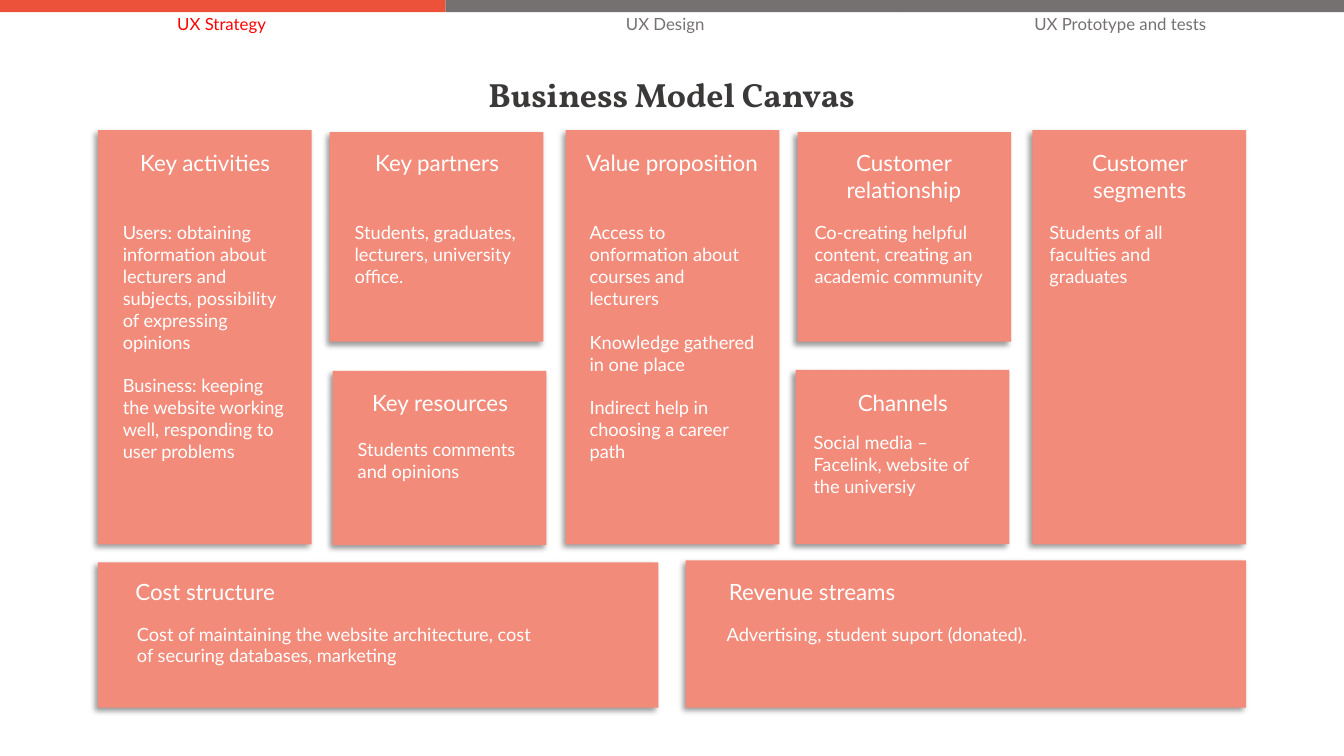
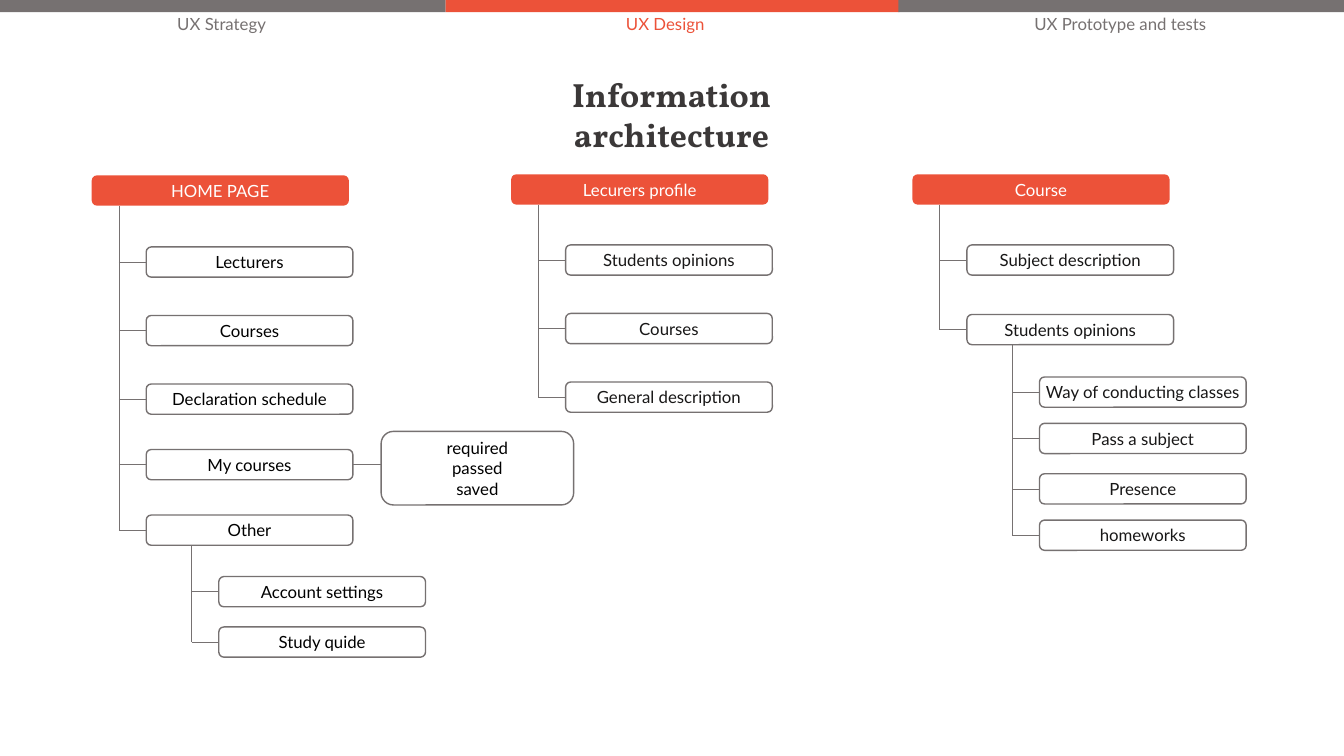
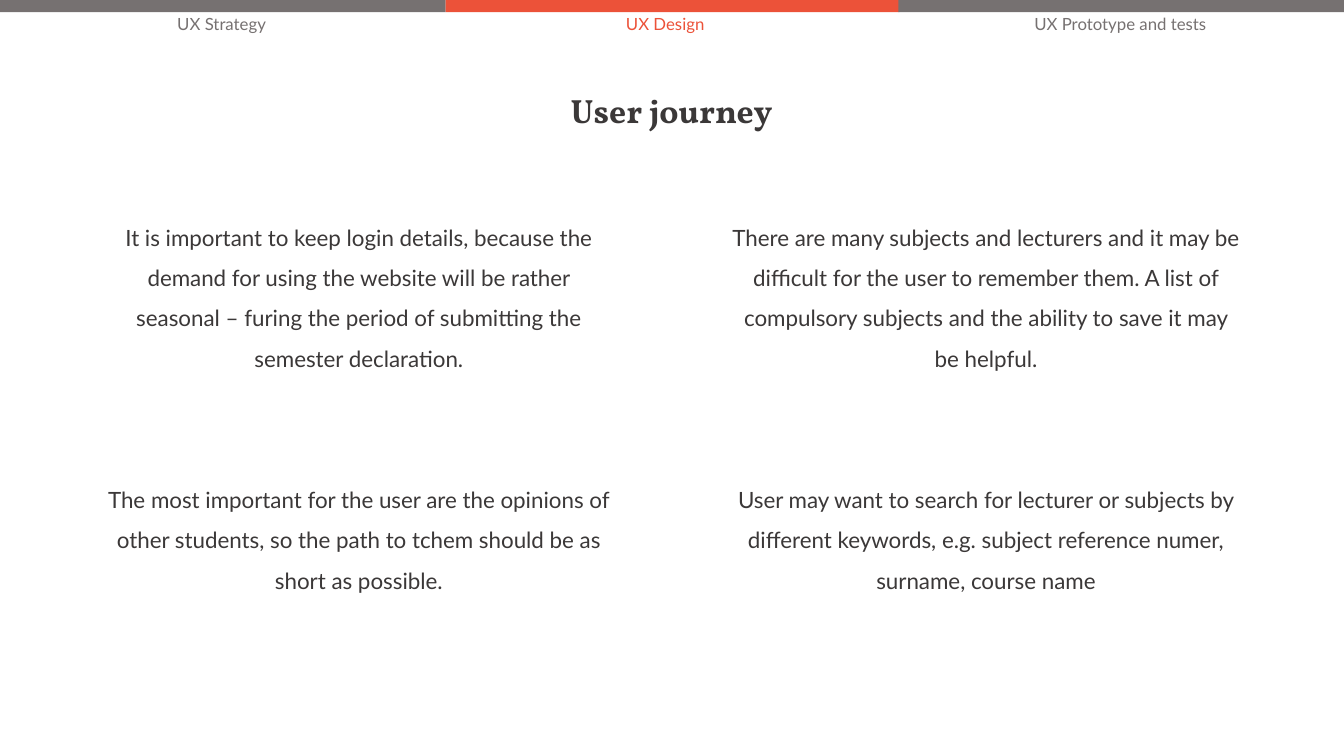
"""Build three UX project slides: a business canvas, a site map and user notes."""
from lxml.etree import SubElement
from pptx import Presentation
from pptx.dml.color import RGBColor
from pptx.enum.shapes import MSO_CONNECTOR, MSO_SHAPE
from pptx.enum.text import MSO_ANCHOR, PP_ALIGN
from pptx.oxml.ns import qn
from pptx.util import Emu, Pt

SCALE = 9144
PAGE_WIDTH, PAGE_HEIGHT = 1333, 750
COLOURS = {
    "accent": "EC5239",
    "grey": "767171",
    "red": "FF0000",
    "card": "F28B7A",
    "title": "3B3838",
    "black": "000000",
    "ink": "181717",
    "white": "FFFFFF",
}
BODY_FONT, TITLE_FONT = "Lato", "Vollkorn"
STAGES = [
    ("UX Strategy", 0, 442, 166, 110),
    ("UX Design", 442, 450, 611, 98),
    ("UX Prototype and tests", 891, 442, 1016, 192),
]
ROOT_WIDTH, NODE_WIDTH, NODE_HEIGHT = 255, 205, 30
ROOT_INDENT, CHILD_INDENT, TWIG = 27, 45, 27
HEADING_WIDTH = 183

CARDS = [
    ((97, 129, 212, 411), "Key activities", 15, (15, 215, 183), [
        "Users: obtaining information about lecturers and subjects, possibility of expressing opinions",
        "Business: keeping the website working well, responding to user problems"]),
    ((561, 129, 212, 411), "Value proposition", 14, (14, 215, 183), [
        "Access to onformation about courses and lecturers",
        "Knowledge gathered in one place",
        "Indirect help in choosing a career path"]),
    ((1024, 129, 212, 411), "Customer segments", 15, (7, 215, 198), [
        "Students of all faculties and graduates"]),
    ((680, 556, 556, 146), "Revenue streams", 34, (31, 613, 416), [
        "Advertising, student suport (donated)."]),
    ((97, 558, 556, 144), "Cost structure", 15, (29, 613, 416), [
        "Cost of maintaining the website architecture, cost of securing databases, marketing"]),
    ((327, 131, 212, 208), "Key partners", 15, (15, 215, 183), [
        "Students, graduates, lecturers, university office."]),
    ((330, 368, 212, 173), "Key resources", 15, (15, 430, 183), [
        "Students comments and opinions"]),
    ((791, 131, 212, 208), "Customer relationship", 14, (7, 215, 198), [
        "Co-creating helpful content, creating an academic community"]),
    ((789, 367, 212, 173), "Channels", 15, (8, 423, 198), [
        "Social media – Facelink, website of the universiy"]),
]
HEADING_TOPS = {129: 143, 131: 143, 367: 381, 368: 381, 556: 569, 558: 569}

TREES = [
    ("HOME PAGE", 91, 174, "black", [
        ("Lecturers", 245), ("Courses", 313), ("Declaration schedule", 381),
        ("My courses", 446), ("Other", 511)],
     [("Account settings", 572), ("Study quide", 622)]),
    ("Lecurers profile", 507, 173, "ink", [
        ("Students opinions", 243), ("Courses", 311), ("General description", 379)],
     []),
    ("Course", 905, 173, "ink", [
        ("Subject description", 243), ("Students opinions", 312)],
     [("Way of conducting classes", 374), ("Pass a subject", 420),
      ("Presence", 470), ("homeworks", 516)]),
]

NOTES = [
    [
        "It is important to keep login details, because the demand for using the website will be "
        "rather seasonal – furing the period of submitting the semester declaration.",
        "There are many subjects and lecturers and it may be difficult for the user to remember "
        "them. A list of compulsory subjects and the ability to save it may be helpful.",
    ],
    [
        "The most important for the user are the opinions of other students, so the path to "
        "tchem should be as short as possible.",
        "User may want to search for lecturer or subjects by different keywords, e.g. subject "
        "reference numer, surname, course name",
    ],
]


def px(*lengths):
    """Turn px lengths into EMU."""
    return [Emu(length * SCALE) for length in lengths]


def colour(name):
    """Look up a named colour."""
    return RGBColor.from_string(COLOURS[name])


def write(frame, lines, size, ink, align=PP_ALIGN.LEFT, font=BODY_FONT, bold=False,
          gap=0, spacing=None):
    """Fill a text frame with one paragraph per line."""
    for index, line in enumerate(lines):
        para = frame.add_paragraph() if index else frame.paragraphs[0]
        para.alignment = align
        if index and gap:
            para.space_before = Pt(gap)
        if spacing:
            para.line_spacing = spacing
        span = para.add_run()
        span.text = line
        span.font.size = Pt(size)
        span.font.name = font
        span.font.bold = bold
        span.font.color.rgb = colour(ink)


def add_text(page, area, lines, size, ink, wrap=True, side=10, **style):
    """Add a text box."""
    frame = page.shapes.add_textbox(*px(*area)).text_frame
    frame.word_wrap = wrap
    frame.margin_left, frame.margin_right = px(side, side)
    write(frame, lines, size, ink, **style)


def add_block(page, area, fill=None, line=None, kind=MSO_SHAPE.RECTANGLE):
    """Add a flat shape."""
    block = page.shapes.add_shape(kind, *px(*area))
    block.shadow.inherit = False
    if fill:
        block.fill.solid()
        block.fill.fore_color.rgb = colour(fill)
    else:
        block.fill.background()
    if line:
        block.line.color.rgb = colour(line)
        block.line.width = Pt(1)
    else:
        block.line.fill.background()
    return block


def add_shadow(block):
    """Cast a soft shadow to the lower left."""
    effects = block.element.spPr.find(qn("a:effectLst"))
    shadow = SubElement(effects, qn("a:outerShdw"), blurRad="50800", dist="38100",
                        dir="8100000", algn="tr", rotWithShape="0")
    tint = SubElement(shadow, qn("a:srgbClr"), val=COLOURS["black"])
    SubElement(tint, qn("a:alpha"), val="40000")


def add_line(page, start, end):
    """Add a thin grey line."""
    line = page.shapes.add_connector(MSO_CONNECTOR.STRAIGHT, *px(*start, *end))
    line.line.color.rgb = colour("grey")
    line.line.width = Pt(0.5)
    SubElement(line.element.spPr, qn("a:effectLst"))


def add_node(page, area, lines, ink, fill=None):
    """Add a rounded, labelled box of the site map."""
    node = add_block(page, area, fill, None if fill else "grey", MSO_SHAPE.ROUNDED_RECTANGLE)
    frame = node.text_frame
    frame.word_wrap = True
    frame.vertical_anchor = MSO_ANCHOR.MIDDLE
    frame.margin_left = frame.margin_right = frame.margin_top = frame.margin_bottom = 0
    write(frame, lines, 12, ink, PP_ALIGN.CENTER)


def add_branch(page, trunk, top, children, ink):
    """Hang child nodes on a vertical trunk."""
    middle = NODE_HEIGHT // 2
    add_line(page, (trunk, top), (trunk, children[-1][1] + middle))
    for label, y in children:
        add_line(page, (trunk, y + middle), (trunk + TWIG, y + middle))
        add_node(page, (trunk + TWIG, y, NODE_WIDTH, NODE_HEIGHT), [label], ink)


def add_page(deck, title, title_top, active, active_ink="accent"):
    """Add a blank page with the stage bar and the title."""
    page = deck.slides.add_slide(deck.slide_layouts[6])
    for index, (label, left, width, label_left, label_width) in enumerate(STAGES):
        current = index == active
        add_block(page, (left, 0, width, 12), "accent" if current else "grey")
        add_text(page, (label_left, 9, label_width, 30), [label], 12,
                 active_ink if current else "grey", wrap=False)
    width = 400
    add_text(page, ((PAGE_WIDTH - width) // 2, title_top, width, 50), [title], 24, "title",
             align=PP_ALIGN.CENTER, font=TITLE_FONT, bold=True)
    return page


def add_canvas(page):
    """Draw the cards of the business model."""
    for area, heading, indent, (body_indent, body_top, body_width), lines in CARDS:
        left, top, _, height = area
        add_shadow(add_block(page, area, "card"))
        add_text(page, (left + indent, HEADING_TOPS[top], HEADING_WIDTH, 37), [heading], 16,
                 "white", side=0, align=PP_ALIGN.CENTER)
        add_text(page, (left + body_indent, body_top, body_width, top + height - body_top - 10),
                 lines, 13, "white", gap=15.6)


def add_site_map(page):
    """Draw the trees of the site map."""
    for label, left, top, ink, children, grandchildren in TREES:
        trunk = left + ROOT_INDENT
        add_node(page, (left, top, ROOT_WIDTH, NODE_HEIGHT), [label], "white", "accent")
        add_branch(page, trunk, top + NODE_HEIGHT, children, ink)
        if grandchildren:
            add_branch(page, trunk + TWIG + CHILD_INDENT, children[-1][1] + NODE_HEIGHT,
                       grandchildren, ink)
    add_line(page, (350, 461), (378, 461))
    add_node(page, (378, 428, 191, 73), ["required", "passed", "saved"], "black")


def add_notes(page):
    """Set the user notes in a two by two grid."""
    for row, notes in enumerate(NOTES):
        for column, note in enumerate(notes):
            add_text(page, (94 + 622 * column, 204 + 260 * row, 524, 166 - 40 * row), [note],
                     16, "title", align=PP_ALIGN.CENTER, spacing=1.5)


def main():
    """Build and save the deck."""
    deck = Presentation()
    deck.slide_width, deck.slide_height = px(PAGE_WIDTH, PAGE_HEIGHT)
    add_canvas(add_page(deck, "Business Model Canvas", 68, 0, "red"))
    add_site_map(add_page(deck, "Information architecture", 68, 1))
    add_notes(add_page(deck, "User journey", 84, 1))
    deck.save("out.pptx")


if __name__ == "__main__":
    main()
